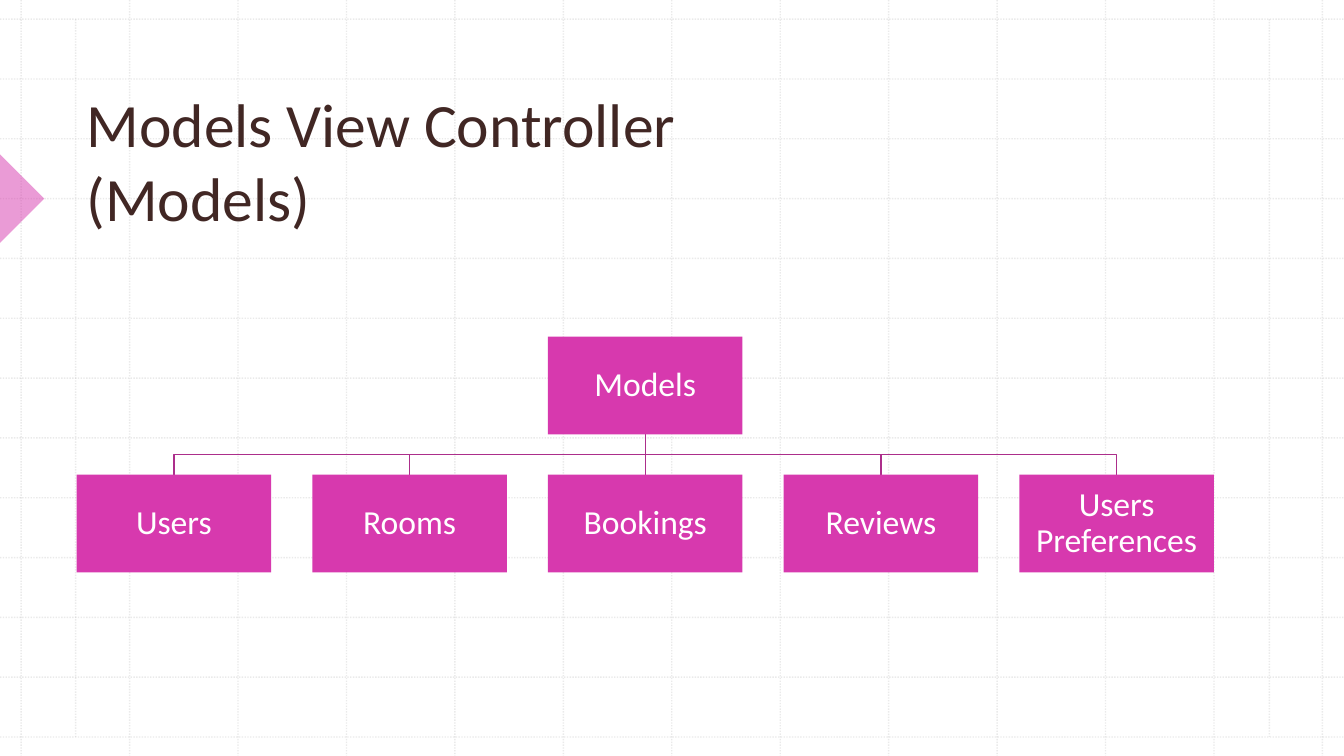
from lxml.etree import SubElement
from pptx import Presentation
from pptx.dml.color import RGBColor as RGB
from pptx.enum.dml import MSO_LINE as Dash
from pptx.enum.shapes import MSO_CONNECTOR as Link, MSO_SHAPE as Shape
from pptx.enum.text import MSO_ANCHOR as Anchor, PP_ALIGN as Align
from pptx.oxml.ns import qn
from pptx.util import Inches, Pt

PINK, PLUM, GREY, BROWN, WHITE = "D739AE", "AC2E8B", "BCBCBC", "412724", "FFFFFF"
WIDE, HIGH = 13.33, 7.5
BOX_W, BOX_H, STEP = 1.93, 0.97, 2.3375
LEFT, TOP, ROW = 0.76, 3.34, 4.71
NAMES = ["Users", "Rooms", "Bookings", "Reviews", "Users Preferences"]


def color(code):
    return RGB.from_string(code)


def apply(item, form):
    for key, value in form.items():
        setattr(item, key, value)


def fade(shape, share):
    for tone in shape._element.spPr.iter(qn("a:srgbClr")):
        SubElement(tone, qn("a:alpha")).set("val", str(share * 1000))


def ink(shape, code):
    shape.line.color.rgb = color(code)
    shape.line.width = Pt(1)


def line(slide, x1, y1, x2, y2, code):
    rule = slide.shapes.add_connector(Link.STRAIGHT, *map(Inches, (x1, y1, x2, y2)))
    ink(rule, code)
    SubElement(rule._element.spPr, qn("a:effectLst"))
    return rule


def dots(slide, *ends):
    rule = line(slide, *ends, GREY)
    rule.line.dash_style = Dash.ROUND_DOT
    fade(rule, 30)


def grid(slide):
    for col in range(13):
        x = 0.21 + col * 1.0755
        dots(slide, x, 0, x, HIGH)
    for row in range(13):
        y = 0.19 + row * 0.5935
        dots(slide, 0, y, WIDE, y)
    for x in (0.75, 12.59):
        dots(slide, x, 0.19, x, 7.31)


def block(slide, kind, *place):
    shape = slide.shapes.add_shape(kind, *map(Inches, place))
    shape.shadow.inherit = False
    shape.fill.solid()
    shape.fill.fore_color.rgb = color(PINK)
    shape.line.fill.background()
    return shape


def write(shape, words, size, code, inset, frame, para):
    text = shape.text_frame
    sides = ("left", "top", "right", "bottom")
    pads = {f"margin_{side}": Inches(pad) for side, pad in zip(sides, inset)}
    apply(text, {"word_wrap": True, **pads, **frame})
    text.text = words
    first = text.paragraphs[0]
    apply(first, para)
    for run in first.runs:
        apply(run.font, {"name": "Calibri", "size": Pt(size)})
        run.font.color.rgb = color(code)


def node(slide, words, x, y):
    box = block(slide, Shape.RECTANGLE, x, y, BOX_W, BOX_H)
    write(box, words, 24, WHITE, (0.02,) * 4, {"vertical_anchor": Anchor.MIDDLE},
          {"alignment": Align.CENTER, "line_spacing": 0.9})


def branch(slide, x1, x2):
    y1, y2 = TOP + BOX_H, ROW
    if x1 == x2:
        line(slide, x1, y1, x2, y2, PLUM)
        return
    mid = (y1 + y2) / 2
    pen = slide.shapes.build_freeform(Inches(x1), Inches(y1))
    turns = [(x1, mid), (x2, mid), (x2, y2)]
    pen.add_line_segments([(Inches(x), Inches(y)) for x, y in turns], close=False)
    elbow = pen.convert_to_shape()
    elbow.shadow.inherit = False
    elbow.fill.background()
    ink(elbow, PLUM)


def tree(slide):
    spots = [LEFT + i * STEP for i in range(len(NAMES))]
    root = spots[len(spots) // 2]
    for x in reversed(spots):
        branch(slide, root + BOX_W / 2, x + BOX_W / 2)
    node(slide, "Models", root, TOP)
    for name, x in zip(NAMES, spots):
        node(slide, name, x, ROW)


def main():
    deck = Presentation()
    apply(deck, {"slide_width": Inches(WIDE), "slide_height": Inches(HIGH)})
    slide = deck.slides.add_slide(deck.slide_layouts[6])
    grid(slide)
    mark = block(slide, Shape.RIGHT_TRIANGLE, -0.31, 1.66, 0.62, 0.62)
    mark.rotation = 225
    fade(mark, 50)
    title = slide.shapes.add_textbox(*map(Inches, (LEFT, 0.79, 11.29, 1.58)))
    write(title, "Models View Controller\v(Models)", 44, BROWN,
          (0.1, 0.05, 0.1, 0.05), {"vertical_anchor": Anchor.BOTTOM}, {})
    tree(slide)
    deck.save("out.pptx")


if __name__ == "__main__":
    main()
